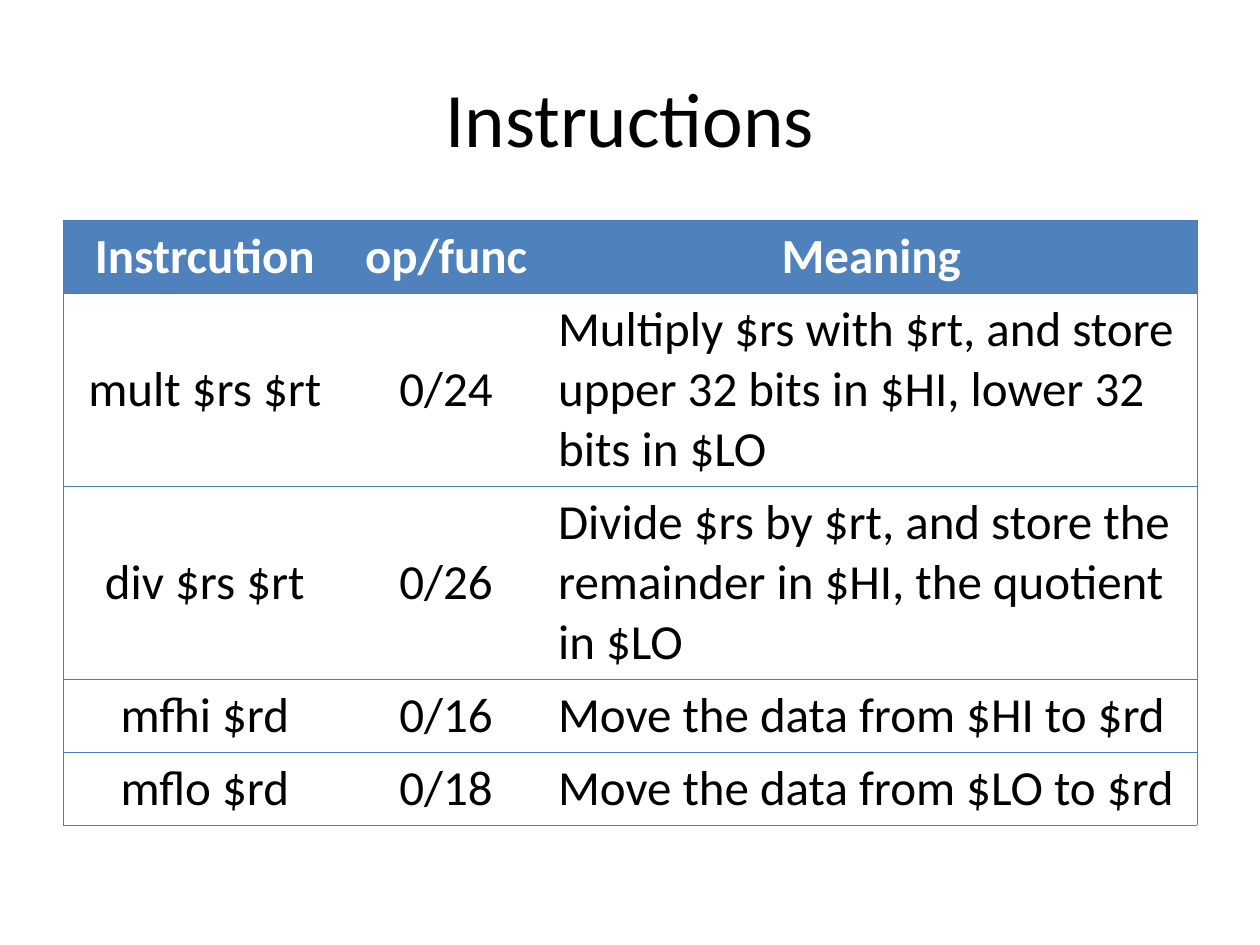
from dataclasses import dataclass

from lxml import etree
from pptx import Presentation
from pptx.dml.color import RGBColor
from pptx.enum import text
from pptx.oxml import ns
from pptx.util import Inches, Pt


@dataclass(frozen=True)
class Theme:
    font: str = "Calibri"
    ink: str = "000000"
    header_ink: str = "FFFFFF"
    header_fill: str = "4F81BD"
    rule: str = "4A7EBB"
    rule_width: float = 0.34
    title_size: int = 44
    table_size: int = 28


@dataclass(frozen=True)
class Instruction:
    syntax: str
    code: str
    meaning: str
    height: float = 0.58


THEME = Theme()
PLAIN_STYLE = "{2D5ABB26-0587-4C30-8999-92F81FD0307C}"
COLUMN_WIDTHS = (2.25, 1.58, 5.17)
ROWS = (
    Instruction("Instrcution", "op/func", "Meaning"),
    Instruction("mult $rs $rt", "0/24",
                "Multiply $rs with $rt, and store upper 32 bits in $HI, "
                "lower 32 bits in $LO", 1.53),
    Instruction("div $rs $rt", "0/26",
                "Divide $rs by $rt, and store the remainder in $HI, "
                "the quotient in $LO", 1.53),
    Instruction("mfhi $rd", "0/16", "Move the data from $HI to $rd"),
    Instruction("mflo $rd", "0/18", "Move the data from $LO to $rd"),
)


def write(tf, content: str, size: int, color: str, centred: bool, bold: bool = False) -> None:
    p = tf.paragraphs[0]
    p.alignment = text.PP_ALIGN.CENTER if centred else text.PP_ALIGN.LEFT
    r = p.add_run()
    r.text = content
    r.font.name = THEME.font
    r.font.size = Pt(size)
    r.font.bold = bold
    r.font.color.rgb = RGBColor.from_string(color)


def set_borders(cell, ruled: str) -> None:
    props = cell._tc.get_or_add_tcPr()
    for side in "LRTB":
        line = etree.SubElement(props, ns.qn(f"a:ln{side}"))
        if side in ruled:
            line.set("w", str(int(Pt(THEME.rule_width))))
            fill = etree.SubElement(line, ns.qn("a:solidFill"))
            etree.SubElement(fill, ns.qn("a:srgbClr"), val=THEME.rule)
        else:
            line.set("w", "0")
            etree.SubElement(line, ns.qn("a:noFill"))


def add_title(s, content: str) -> None:
    sp = s.shapes.title
    sp.left, sp.top = Inches(0.5), Inches(0.3)
    sp.width, sp.height = Inches(9), Inches(1.25)
    sp.text_frame.vertical_anchor = text.MSO_ANCHOR.MIDDLE
    write(sp.text_frame, content, THEME.title_size, THEME.ink, centred=True)


def add_instruction_table(s) -> None:
    frame = s.shapes.add_table(
        len(ROWS), len(COLUMN_WIDTHS), Inches(0.5), Inches(1.75),
        Inches(sum(COLUMN_WIDTHS)), Inches(sum(row.height for row in ROWS)))
    table = frame.table
    table.horz_banding = False
    table._tbl.tblPr.find(ns.qn("a:tableStyleId")).text = PLAIN_STYLE
    for column, width in zip(table.columns, COLUMN_WIDTHS):
        column.width = Inches(width)
    last = len(COLUMN_WIDTHS) - 1
    for i, row in enumerate(ROWS):
        table.rows[i].height = Inches(row.height)
        header = i == 0
        for j, content in enumerate((row.syntax, row.code, row.meaning)):
            cell = table.cell(i, j)
            centred = header or j < last
            cell.vertical_anchor = text.MSO_ANCHOR.MIDDLE if centred else text.MSO_ANCHOR.TOP
            set_borders(cell, "TB" + ("L" if j == 0 else "R" if j == last else ""))
            if header:
                cell.fill.solid()
                cell.fill.fore_color.rgb = RGBColor.from_string(THEME.header_fill)
            else:
                cell.fill.background()
            write(cell.text_frame, content, THEME.table_size,
                  THEME.header_ink if header else THEME.ink, centred, bold=header)


prs = Presentation()
prs.slide_width, prs.slide_height = Inches(10), Inches(7.5)
s = prs.slides.add_slide(prs.slide_layouts[5])
add_title(s, "Instructions")
add_instruction_table(s)
prs.save("out.pptx")
